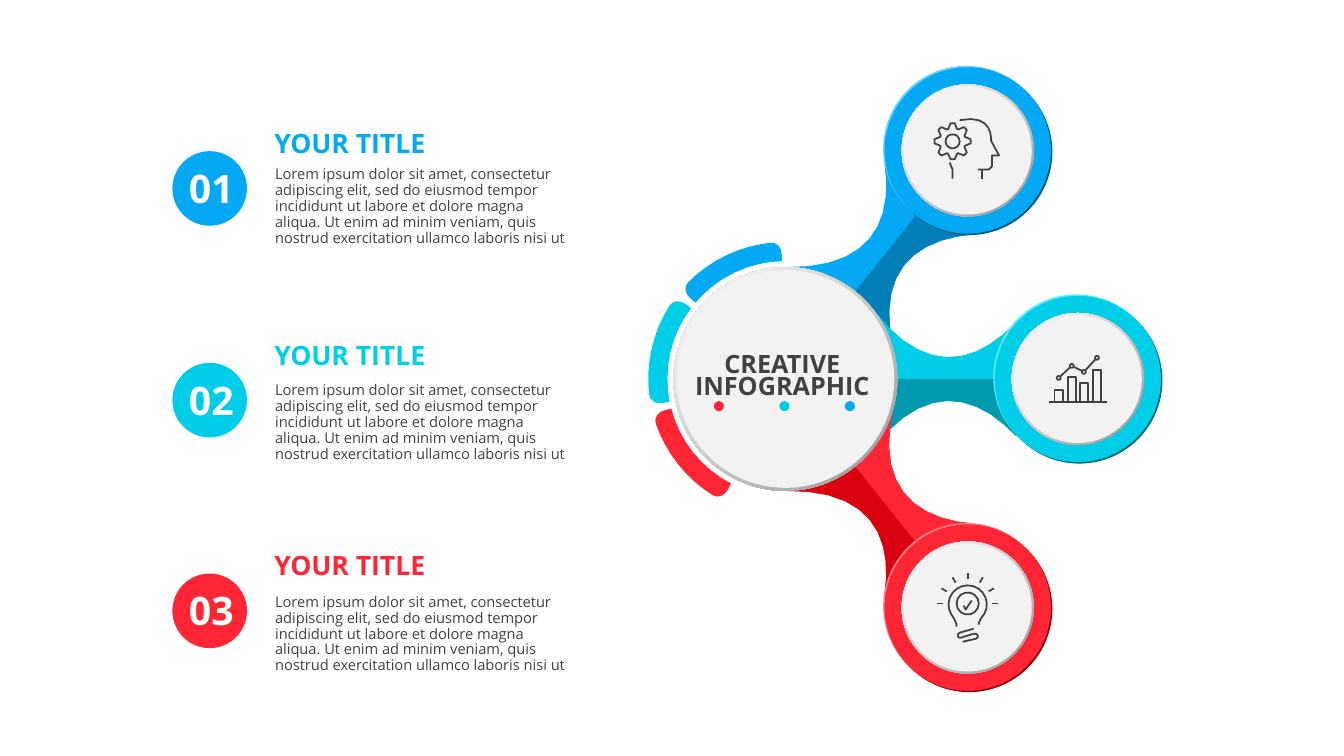
import dataclasses
import math

import pptx
import pptx.dml.color
import pptx.enum.shapes
import pptx.enum.text
import pptx.util

Inches = pptx.util.Inches


@dataclasses.dataclass(frozen=True)
class Tone:
    base: str
    dark: str
    deep: str
    light: str


@dataclasses.dataclass(frozen=True)
class Theme:
    blue: Tone = Tone("03A9F4", "027FB7", "01557A", "63CDFD")
    cyan: Tone = Tone("00CEE8", "009AAE", "006774", "58ECFF")
    red: Tone = Tone("FE2635", "DA0110", "91010B", "FE7D86")
    ink: str = "414042"
    white: str = "FFFFFF"
    disc: str = "F2F2F2"
    rim: str = "979797"
    font: str = "Open Sans"
    number: float = 28
    head: float = 19
    title: float = 18
    body: float = 10.5
    stroke: float = 1.25


THEME = Theme()
HUB = (7.79, 3.76)
STEP = 360 / 7
REACH = 2.9
LOREM = (
    "Lorem ipsum dolor sit amet, consectetur adipiscing elit, sed do eiusmod "
    "tempor incididunt ut labore et dolore magna aliqua. Ut enim ad minim veniam, "
    "quis nostrud exercitation ullamco laboris nisi ut"
)


def rgb(value):
    return pptx.dml.color.RGBColor.from_string(value)


def polar(center, radius, angle):
    turn = math.radians(angle)
    return (center[0] + radius * math.cos(turn), center[1] + radius * math.sin(turn))


def arc(center, radius, start, end, count=8):
    return [polar(center, radius, start + (end - start) * i / count) for i in range(count + 1)]


def ring(center, radius, count=14):
    return arc(center, radius, 0, 360, count)[:-1], True


def curve(a, b, c, d, count=4):
    points = []
    for i in range(count + 1):
        t = i / count
        parts = ((1 - t) ** 3, 3 * t * (1 - t) ** 2, 3 * t * t * (1 - t), t ** 3)
        points.append(tuple(sum(w * p[k] for w, p in zip(parts, (a, b, c, d))) for k in (0, 1)))
    return points


def draw(slide, outlines, fill=None):
    builder = None
    for points, closed in outlines:
        first, *rest = [(Inches(x), Inches(y)) for x, y in points]
        if builder is None:
            builder = slide.shapes.build_freeform(*first, scale=1.0)
        else:
            builder.move_to(*first)
        builder.add_line_segments(rest, close=closed)
    shape = builder.convert_to_shape()
    shape.shadow.inherit = False
    if fill:
        shape.fill.solid()
        shape.fill.fore_color.rgb = rgb(fill)
        shape.line.fill.background()
    else:
        shape.fill.background()
        shape.line.color.rgb = rgb(THEME.ink)
        shape.line.width = pptx.util.Pt(THEME.stroke)


def draw_icon(slide, center, outlines):
    x, y = center
    draw(slide, [([(x + a, y + b) for a, b in points], closed) for points, closed in outlines])


def add_disc(slide, center, size, fill=None):
    left, top = (Inches(v - size / 2) for v in center)
    oval = pptx.enum.shapes.MSO_SHAPE.OVAL
    shape = slide.shapes.add_shape(oval, left, top, Inches(size), Inches(size))
    shape.shadow.inherit = False
    shape.line.fill.background()
    if fill:
        shape.fill.solid()
        shape.fill.fore_color.rgb = rgb(fill)
        return
    shape.fill.gradient()
    shape.fill.gradient_angle = 135
    for stop, color in zip(shape.fill.gradient_stops, (THEME.rim, THEME.white)):
        stop.color.rgb = rgb(color)


def add_plate(slide, center, size, rim):
    add_disc(slide, center, size + rim)
    add_disc(slide, center, size, THEME.disc)


def style(frame, size, color, bold=False, margin=True, wrap=False, align=None):
    frame.word_wrap = wrap
    frame.auto_size = pptx.enum.text.MSO_AUTO_SIZE.NONE
    frame.vertical_anchor = pptx.enum.text.MSO_ANCHOR.TOP
    if not margin:
        frame.margin_left = frame.margin_right = frame.margin_top = frame.margin_bottom = 0
    for para in frame.paragraphs:
        para.alignment = align or pptx.enum.text.PP_ALIGN.LEFT
        for run in para.runs:
            run.font.name = THEME.font
            run.font.size = pptx.util.Pt(size)
            run.font.bold = bold
            run.font.color.rgb = rgb(color)


def add_text(slide, text, box, *args, **kwargs):
    frame = slide.shapes.add_textbox(*map(Inches, box)).text_frame
    frame.text = text
    style(frame, *args, **kwargs)
    return frame


def add_arm(slide, angle, tone):
    lower = curve((0.87, 0.69), (1.37, 0.04), (1.87, 0.12), (2.29, 0.57), 10)
    upper = [(x, -y) for x, y in reversed(lower)]
    axis = [(2.29, 0), (0.87, 0)]
    for points, fill in ((lower + upper, tone.base), (lower + axis, tone.dark)):
        turned = [polar(HUB, math.hypot(x, y), angle + math.degrees(math.atan2(y, x))) for x, y in points]
        draw(slide, [(turned, True)], fill)


def add_node(slide, center, tone):
    for shift, fill in ((0.02, tone.deep), (-0.02, tone.light), (0, tone.base)):
        add_disc(slide, polar(center, shift, 45), 1.65, fill)
    add_plate(slide, center, 1.27, 0.04)


def add_band(slide, start, fill):
    end = start + 48
    turns = [math.radians(22.5 * i) for i in range(5)]
    corner = [(1.24 + 0.12 * math.sin(t), 4.5 * (1 - math.cos(t))) for t in turns]
    points = arc(HUB, 1.17, end, start)
    points += [polar(HUB, r, start + a) for r, a in corner]
    points += arc(HUB, 1.36, start + 4.5, end - 4.5)[1:-1]
    points += [polar(HUB, r, end - a) for r, a in reversed(corner)]
    draw(slide, [(points, True)], fill)


def add_row(slide, number, top, body, tone):
    add_disc(slide, (2.08, top + 0.37), 0.74, tone.base)
    add_text(slide, number, (1.87, top + 0.13, 0.45, 0.47), THEME.number, THEME.white,
             bold=True, margin=False, align=pptx.enum.text.PP_ALIGN.CENTER)
    add_text(slide, "YOUR TITLE", (2.72, top - 0.24, 1.51, 0.32), THEME.head, tone.base,
             bold=True, margin=False)
    frame = add_text(slide, LOREM, (2.63, body, 3.15, 0.81), THEME.body, THEME.ink, wrap=True)
    frame.paragraphs[0].line_spacing = 0.9


def mind():
    gear = (-0.15, -0.09)
    teeth = [polar(gear, r, 45 * k + a) for k in range(8)
             for a, r in ((-20, 0.13), (-6.5, 0.18), (6.5, 0.18), (20, 0.13))]
    face = curve((-0.08, -0.3), (0.26, -0.37), (0.23, -0.1), (0.23, -0.1), 8)
    face += [(0.31, 0.05), (0.24, 0.05), (0.24, 0.16), (0.21, 0.19), (0.1, 0.19)]
    return [(face, False), ([(0.14, 0.19), (0.14, 0.28)], False),
            ([(-0.15, 0.28), (-0.15, 0.19), (-0.18, 0.12)], False),
            (teeth, True), ring(gear, 0.07)]


def chart():
    base, radius = 0.23, 0.02
    marks = [(-0.19, -0.01), (-0.06, -0.13), (0.06, -0.07), (0.19, -0.21)]
    lines = [([(-0.29, base), (0.29, base)], False)]
    for (x, y), top in zip(marks, (0.11, -0.02, 0.04, -0.09)):
        lines.append(([(x - 0.04, top), (x + 0.04, top), (x + 0.04, base), (x - 0.04, base)], True))
        lines.append(ring((x, y), radius, 8))
    for a, b in zip(marks, marks[1:]):
        angle = math.degrees(math.atan2(b[1] - a[1], b[0] - a[0]))
        lines.append(([polar(a, radius, angle), polar(b, -radius, angle)], False))
    return lines


def bulb():
    core = (0, -0.04)
    glass = curve((-0.11, 0.19), (-0.11, 0.16), (-0.12, 0.13), (-0.16, 0.07))
    glass += arc((0, -0.03), 0.19, 150, 390, 14)
    glass += curve((0.16, 0.07), (0.12, 0.12), (0.11, 0.15), (0.11, 0.17))
    screw = [(0.06, 0.21)] + curve((-0.08, 0.25), (-0.11, 0.26), (-0.1, 0.31), (-0.07, 0.3))
    screw += curve((0.06, 0.26), (0.1, 0.25), (0.12, 0.3), (0.08, 0.31)) + [(-0.05, 0.34)]
    rays = [([polar(core, 0.24, a), polar(core, 0.3, a)], False) for a in range(180, 361, 30)]
    tick = [(-0.04, -0.02), (-0.02, 0.02), (0.04, -0.07)]
    return [(glass, False), (screw, False), (tick, False), ring(core, 0.11)] + rays


def add_title(slide):
    title = slide.shapes.title
    title.left, title.top, title.width, title.height = map(Inches, (6.86, 3.54, 1.8, 0.44))
    title.text_frame.text = "CREATIVE\nINFOGRAPHIC"
    style(title.text_frame, THEME.title, THEME.ink, bold=True, margin=False,
          align=pptx.enum.text.PP_ALIGN.CENTER)
    for para in title.text_frame.paragraphs:
        para.line_spacing = pptx.util.Pt(15.5)
    title.element.getparent().append(title.element)


def main():
    deck = pptx.Presentation()
    deck.slide_width, deck.slide_height = Inches(13.33), Inches(7.5)
    slide = deck.slides.add_slide(deck.slide_layouts[5])
    tones = (THEME.blue, THEME.cyan, THEME.red)
    angles = (-STEP, 0, STEP)
    for angle, tone in zip(angles, tones):
        add_arm(slide, angle, tone)
    for angle, tone, icon in zip(angles, tones, (mind, chart, bulb)):
        center = polar(HUB, REACH, angle)
        add_node(slide, center, tone)
        draw_icon(slide, center, icon())
        add_band(slide, 168.9 - angle, tone.base)
    add_plate(slide, HUB, 2.16, 0.06)
    add_title(slide)
    for i, tone in enumerate(reversed(tones)):
        add_disc(slide, (7.13 + 0.65 * i, 4.03), 0.1, tone.base)
    for row in zip(("01", "02", "03"), (1.5, 3.6, 5.69), (1.61, 3.75, 5.85), tones):
        add_row(slide, *row)
    deck.save("out.pptx")


if __name__ == "__main__":
    main()
